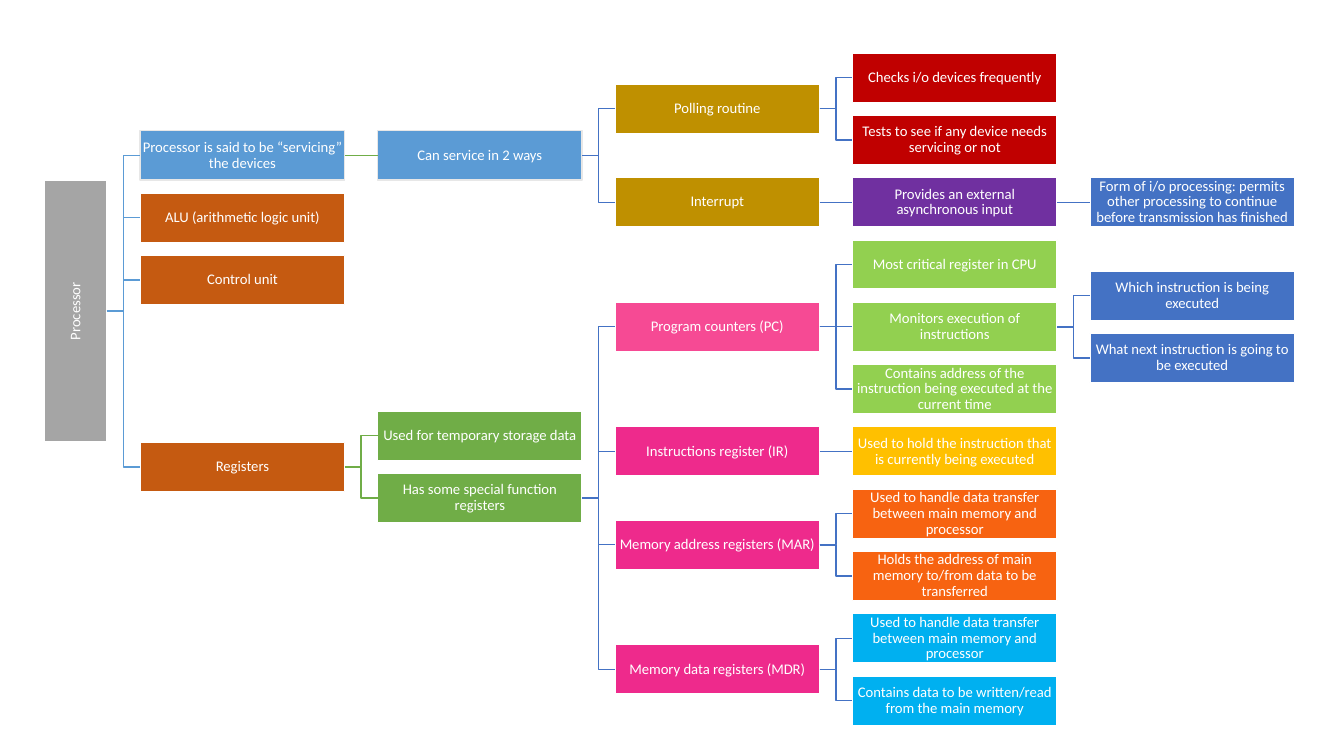
import lxml.etree
import pptx
import pptx.dml.color
import pptx.enum.shapes
import pptx.enum.text
import pptx.oxml.ns
import pptx.util

Inches = pptx.util.Inches
Pt = pptx.util.Pt
qn = pptx.oxml.ns.qn


class Theme:
    font, size, line = "Calibri", 10.5, 1
    white, edge, grey = "FFFFFF", "E7E7E7", "A5A5A5"
    sky, rust, green = "5B9BD5", "C55A11", "70AD47"
    gold, red, plum, blue = "BF9000", "C00000", "7030A0", "4472C4"
    rose, pink, lime = "F41474", "EE2A8C", "92D050"
    amber, flame, aqua = "FFC000", "F76311", "00B0F0"
    links = [sky, green, blue, blue, blue]  # by level of the parent
    clear = {rose: 77}  # opacity in percent


# Tree of (text, fill, children); a leaf has its row number instead of children
T = Theme
TREE = ("Processor", T.grey, [
    ("Processor is said to be “servicing” the devices", T.sky, [
        ("Can service in 2 ways", T.sky, [
            ("Polling routine", T.gold, [
                ("Checks i/o devices frequently", T.red, 0),
                ("Tests to see if any device needs servicing or not", T.red, 1),
            ]),
            ("Interrupt", T.gold, [
                ("Provides an external asynchronous input", T.plum, [
                    ("Form of i/o processing: permits other processing to continue "
                     "before transmission has finished", T.blue, 2),
                ]),
            ]),
        ]),
    ]),
    ("ALU (arithmetic logic unit)", T.rust, 2.25),
    ("Control unit", T.rust, 3.25),
    ("Registers", T.rust, [
        ("Used for temporary storage data", T.green, 5.75),
        ("Has some special function registers", T.green, [
            ("Program counters (PC)", T.rose, [
                ("Most critical register in CPU", T.lime, 3),
                ("Monitors execution of instructions", T.lime, [
                    ("Which instruction is being executed", T.blue, 3.5),
                    ("What next instruction is going to be executed", T.blue, 4.5),
                ]),
                ("Contains address of the instruction being executed at the "
                 "current time", T.lime, 5),
            ]),
            ("Instructions register (IR)", T.pink, [
                ("Used to hold the instruction that is currently being executed",
                 T.amber, 6),
            ]),
            ("Memory address registers (MAR)", T.pink, [
                ("Used to handle data transfer between main memory and processor",
                 T.flame, 7),
                ("Holds the address of main memory to/from data to be transferred",
                 T.flame, 8),
            ]),
            ("Memory data registers (MDR)", T.pink, [
                ("Used to handle data transfer between main memory and processor",
                 T.aqua, 9),
                ("Contains data to be written/read from the main memory", T.aqua, 10),
            ]),
        ]),
    ]),
])

# Grid in inches
TOP, ROW = 0.77, 6.18 / 10  # centre of the first row, row pitch
LEFT, COL = 1.39, 9.42 / 4  # left of the first column, column pitch
WIDE, HIGH = 2.03, 0.49
ROOT = (0.44, 0.62, 2.6)  # left, width, height
PAD = 0.01


def tint(code):
    return pptx.dml.color.RGBColor.from_string(code)


def find_row(node):
    """A parent sits midway between its first and last child."""
    kids = node[2]
    if not isinstance(kids, list):
        return kids
    return (find_row(kids[0]) + find_row(kids[-1])) / 2


class Chart:
    def __init__(self, slide, theme):
        self.slide, self.theme = slide, theme

    def box(self, text, fill, left, mid, wide, high):
        theme = self.theme
        shape = self.slide.shapes.add_shape(
            pptx.enum.shapes.MSO_SHAPE.RECTANGLE,
            Inches(left), Inches(mid - high / 2), Inches(wide), Inches(high))
        shape.shadow.inherit = False
        shape.fill.solid()
        shape.fill.fore_color.rgb = tint(fill)
        if fill in theme.clear:
            code = next(shape.element.iter(qn("a:srgbClr")))
            alpha = lxml.etree.SubElement(code, qn("a:alpha"))
            alpha.set("val", str(theme.clear[fill] * 1000))
        shape.line.color.rgb = tint(theme.edge if fill == theme.sky else theme.white)
        shape.line.width = Pt(theme.line)
        # Label
        frame = shape.text_frame
        frame.text = text
        frame.word_wrap = True
        frame.vertical_anchor = pptx.enum.text.MSO_ANCHOR.MIDDLE
        frame.margin_left = frame.margin_right = Inches(PAD)
        frame.margin_top = frame.margin_bottom = Inches(PAD)
        para = frame.paragraphs[0]
        para.alignment = pptx.enum.text.PP_ALIGN.CENTER
        para.line_spacing = 0.9
        font = para.runs[0].font
        font.name, font.size = theme.font, Pt(theme.size)
        font.color.rgb = tint(theme.white)
        return shape

    def link(self, start, end, level, flat):
        kinds = pptx.enum.shapes.MSO_CONNECTOR
        line = self.slide.shapes.add_connector(
            kinds.STRAIGHT if flat else kinds.ELBOW, 0, 0, 0, 0)
        line.begin_connect(start, 3)  # right side
        line.end_connect(end, 1)  # left side
        line.line.color.rgb = tint(self.theme.links[level])
        line.line.width = Pt(self.theme.line)
        lxml.etree.SubElement(line.element.spPr, qn("a:effectLst"))

    def branch(self, node, level=0):
        text, fill, kids = node
        row = find_row(node)
        mid = TOP + ROW * row
        if level:
            shape = self.box(text, fill, LEFT + COL * (level - 1), mid, WIDE, HIGH)
        else:
            left, wide, high = ROOT
            shape = self.box(text, fill, left, mid, wide, high)
            # Label reads upwards
            next(shape.element.iter(qn("a:bodyPr"))).set("vert", "vert270")
        if isinstance(kids, list):
            for kid in kids:
                end = self.branch(kid, level + 1)
                self.link(shape, end, level, find_row(kid) == row)
        return shape


def main():
    deck = pptx.Presentation()
    deck.slide_width, deck.slide_height = Inches(13.33), Inches(7.5)
    slide = deck.slides.add_slide(deck.slide_layouts[6])
    Chart(slide, Theme).branch(TREE)
    deck.save("out.pptx")


if __name__ == "__main__":
    main()
